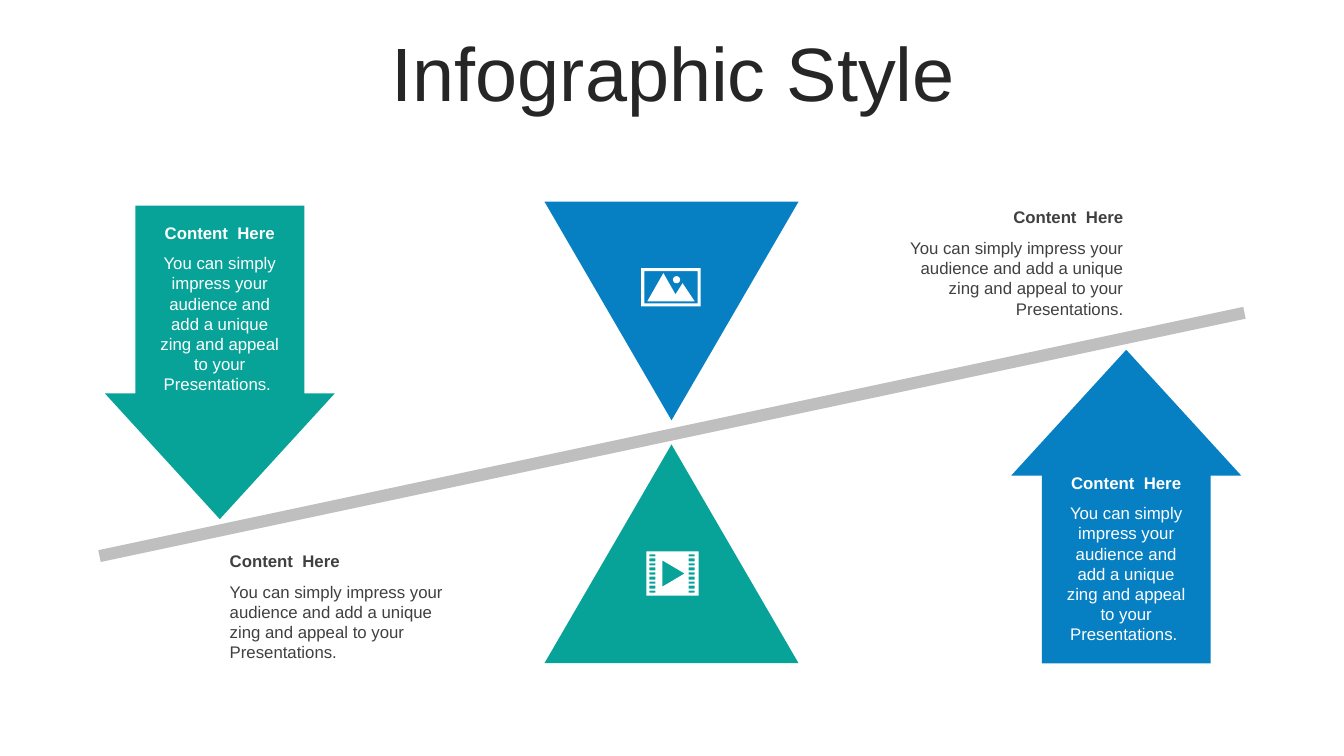
from math import cos, pi, sin

from pptx import Presentation
from pptx.dml.color import RGBColor
from pptx.enum.shapes import MSO_SHAPE
from pptx.enum.text import MSO_ANCHOR, MSO_AUTO_SIZE, PP_ALIGN
from pptx.util import Emu, Pt

PX = 9144
TEAL, BLUE, GREY, WHITE = "07A398", "0680C3", "BFBFBF", "FFFFFF"
DARK, BLACK = "404040", "262626"
HEAD = "Content  Here"
BODY = ("You can simply impress your audience and add a unique "
        "zing and appeal to your Presentations.")


def px(*nums):
    """Turn px lengths into EMU."""
    return [Emu(round(n * PX)) for n in nums]


def tint(target, hue):
    """Set a fill or font to a hex colour."""
    if hasattr(target, "solid"):
        target.solid()
        target.fore_color.rgb = RGBColor.from_string(hue)
    else:
        target.color.rgb = RGBColor.from_string(hue)


def put(item, values):
    """Set each attribute given in a dict."""
    for name, value in values.items():
        setattr(item, name, value)


def paint(shape, hue):
    """Give a shape a flat fill with no line or shadow."""
    shape.shadow.inherit = False
    tint(shape.fill, hue)
    shape.line.fill.background()


def solid(slide, kind, box, hue, turn=0, adjust=()):
    """Place a filled preset shape."""
    shape = slide.shapes.add_shape(kind, *px(*box))
    paint(shape, hue)
    shape.rotation = turn
    for i, value in enumerate(adjust):
        shape.adjustments[i] = value


def label(slide, box, text, hue, font, para, frame):
    """Place a wrapped text box of one paragraph."""
    area = slide.shapes.add_textbox(*px(*box)).text_frame
    put(area, {"word_wrap": True, **frame})
    line = area.paragraphs[0]
    put(line, para)
    run = line.add_run()
    run.text = text
    put(run.font, {"name": "Arial", **font})
    tint(run.font, hue)


def title(slide, box):
    """Place the slide title."""
    label(slide, box, "Infographic Style", BLACK, {"size": Pt(54)},
          {"alignment": PP_ALIGN.CENTER, "line_spacing": 0.9},
          {"vertical_anchor": MSO_ANCHOR.MIDDLE})


def note(slide, box, align, hue, text=BODY, gap=31):
    """Place a bold heading above its body text."""
    x, y, w, h = box
    parts = [(y, gap, HEAD, True), (y + gap, h - gap, text, False)]
    for top, high, words, bold in parts:
        label(slide, (x, top, w, high), words, hue,
              {"size": Pt(12), "bold": bold}, {"alignment": align},
              {"auto_size": MSO_AUTO_SIZE.SHAPE_TO_FIT_TEXT})


def arrow(slide, box, hue, turn, drop):
    """Place a block arrow with a note on its shaft."""
    x, y, w, h = box
    solid(slide, MSO_SHAPE.DOWN_ARROW, box, hue, turn, (0.735, 0.547))
    note(slide, (x + 44, y + drop, w - 88, 181), PP_ALIGN.CENTER, WHITE,
         BODY + " ", 30)


def rect(x, y, w, h):
    """Return the corners of a rectangle."""
    return [(x, y), (x + w, y), (x + w, y + h), (x, y + h)]


def icon(slide, box, rings):
    """Draw rings, relative to the box, as one white outline."""
    left, top = box[:2]
    rings = [[px(left + x, top + y) for x, y in ring] for ring in rings]
    pen = slide.shapes.build_freeform(*rings[0][0], scale=1.0)
    for i, ring in enumerate(rings):
        if i:
            pen.move_to(*ring[0])
        pen.add_line_segments(ring[1:], close=True)
    paint(pen.convert_to_shape(), WHITE)


def film(slide, box):
    """Draw a film strip with a play mark."""
    w, h = box[2:]
    holes = [rect(x, 3 + i * 9 // 2, 6, 2 + i % 2)
             for i in range(9) for x in (3, w - 10)]
    play = [(16, 9), (16, 35), (38, 22)]
    icon(slide, box, [rect(0, 0, w, h), play] + holes)


def photo(slide, box):
    """Draw a framed view of hills and sun."""
    w, h = box[2:]
    hills = [(22, 5), (34, 26), (41, 15), (53, 33), (6, 33)]
    turns = [2 * pi * i / 24 for i in range(24)]
    sun = [(35 + 3.5 * cos(t), 11.5 + 3.5 * sin(t)) for t in turns]
    icon(slide, box, [rect(0, 0, w, h), rect(3, 3, w - 6, h - 6), hills, sun])


def scale(slide, box):
    """Draw the tilted beam and the two triangles that hold it."""
    x, y, w, h = box
    wide, high = 252, 217
    left = x + (w - wide) // 2
    kind = MSO_SHAPE.ISOSCELES_TRIANGLE
    solid(slide, kind, (left, y + h - high, wide, high), TEAL)
    solid(slide, kind, (left, y, wide, high), BLUE, 180)
    solid(slide, MSO_SHAPE.RECTANGLE, (x, y + 225, w, 12), GREY, 348)
    film(slide, (left + 101, y + 347, 52, 44))
    photo(slide, (left + 96, y + 66, 59, 38))


def main():
    """Build and save the slide."""
    deck = Presentation()
    wide, high = px(1333, 750)
    put(deck, {"slide_width": wide, "slide_height": high})
    slide = deck.slides.add_slide(deck.slide_layouts[6])
    title(slide, (35, 37, 1266, 79))
    scale(slide, (86, 200, 1161, 458))
    arrow(slide, (104, 204, 228, 311), TEAL, 0, 12)
    arrow(slide, (1003, 347, 228, 311), BLUE, 180, 117)
    note(slide, (879, 200, 245, 122), PP_ALIGN.RIGHT, DARK)
    note(slide, (218, 541, 245, 122), PP_ALIGN.LEFT, DARK)
    deck.save("out.pptx")


if __name__ == "__main__":
    main()
